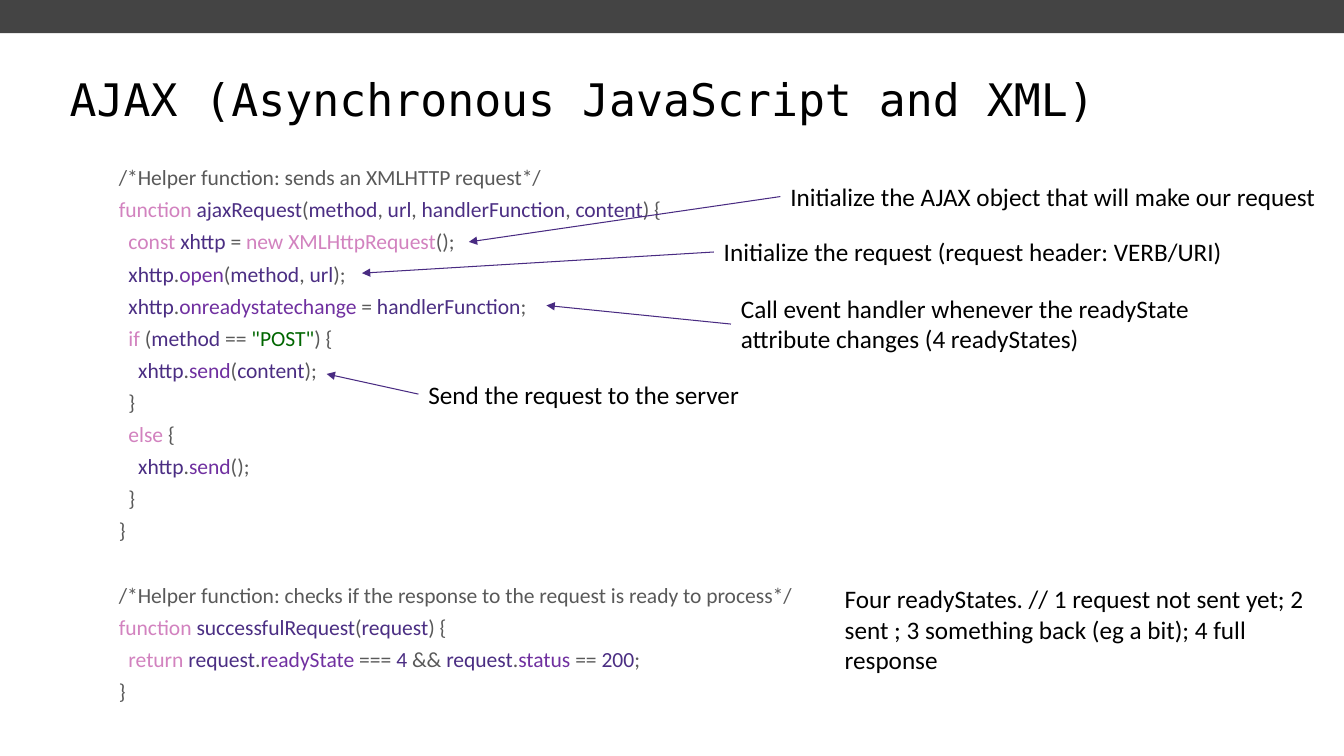
import itertools

import pptx
import pptx.dml.color
import pptx.enum.shapes
import pptx.enum.text
import pptx.oxml
import pptx.oxml.ns
import pptx.util

Inches = pptx.util.Inches
Pt = pptx.util.Pt

BLACK = "000000"
BAR = "444444"
PLAIN = "595959"
KEYWORD = "D282BF"
NAME = "4B2E83"
MEMBER = "7030A0"
STRING = "006600"
ARROW = "492B82"

KEYWORDS = {"function", "const", "new", "XMLHttpRequest", "if", "else", "return"}
MEMBERS = {"open", "onreadystatechange", "send", "readyState", "status"}

SEND_FUNCTION = """/*Helper function: sends an XMLHTTP request*/
function ajaxRequest(method, url, handlerFunction, content) {
  const xhttp = new XMLHttpRequest();
  xhttp.open(method, url);
  xhttp.onreadystatechange = handlerFunction;
  if (method == "POST") {
    xhttp.send(content);
  }
  else {
    xhttp.send();
  }
}"""

CHECK_FUNCTION = """/*Helper function: checks if the response to the request is ready to process*/
function successfulRequest(request) {
  return request.readyState === 4 && request.status == 200;
}"""

# text, (left, top, width, height), arrow tip or None
NOTES = [
    ("Initialize the request (request header: VERB/URI)",
     (7.08, 2.3, 5.2, 0.4), (3.59, 2.71)),
    ("Call event handler whenever the readyState attribute changes (4 readyStates)",
     (7.25, 2.86, 5.1, 0.71), (5.42, 3.03)),
    ("Send the request to the server",
     (4.15, 3.71, 5.1, 0.4), (3.24, 3.71)),
    ("Initialize the AJAX object that will make our request",
     (7.74, 1.75, 5.66, 0.4), (4.65, 2.4)),
    ("Four readyStates. // 1 request not sent yet; 2 sent ; "
     "3 something back (eg a bit); 4 full response",
     (8.28, 5.74, 5.1, 1.01), None),
]


def color(value):
    return pptx.dml.color.RGBColor.from_string(value)


def colored_tokens(line):
    """Split a line of code into (text, colour) pairs."""
    if line.startswith("/*"):
        return [(line, PLAIN)]
    tokens = []
    for is_word, characters in itertools.groupby(line, lambda c: c.isalnum() or c == '"'):
        token = "".join(characters)
        if not is_word:
            tokens.append((token, PLAIN))
        elif token.startswith('"'):
            tokens.append((token, STRING))
        elif token in KEYWORDS:
            tokens.append((token, KEYWORD))
        else:
            tokens.append((token, MEMBER if token in MEMBERS else NAME))
    return tokens


class SlideBuilder:
    body_font = "Calibri"
    title_font = "DejaVu Sans Mono"
    title_size = 32
    note_size = 18
    code_size = 15.4
    code_gap = 10
    function_gap = 33.1

    def __init__(self, presentation):
        self.slide = presentation.slides.add_slide(presentation.slide_layouts[5])

    def add_run(self, paragraph, text, size, font, value):
        run = paragraph.add_run()
        run.text = text
        run.font.size = Pt(size)
        run.font.name = font
        run.font.color.rgb = color(value)

    def add_bar(self, box, value):
        bar = self.slide.shapes.add_shape(
            pptx.enum.shapes.MSO_SHAPE.RECTANGLE, *map(Inches, box))
        bar.shadow.inherit = False
        bar.fill.solid()
        bar.fill.fore_color.rgb = color(value)
        bar.line.fill.background()

    def set_title(self, text, box):
        title = self.slide.shapes.title
        title.left, title.top, title.width, title.height = map(Inches, box)
        frame = title.text_frame
        frame.auto_size = pptx.enum.text.MSO_AUTO_SIZE.NONE
        frame.vertical_anchor = pptx.enum.text.MSO_ANCHOR.MIDDLE
        paragraph = frame.paragraphs[0]
        paragraph.alignment = pptx.enum.text.PP_ALIGN.LEFT
        paragraph.line_spacing = 0.9
        self.add_run(paragraph, text, self.title_size, self.title_font, BLACK)

    def add_text_box(self, box):
        shape = self.slide.shapes.add_textbox(*map(Inches, box))
        shape.text_frame.word_wrap = True
        return shape

    def add_code(self, functions, box):
        """Write functions as coloured code, with a wider gap between them."""
        frame = self.add_text_box(box).text_frame
        for function_index, function in enumerate(functions):
            for line_index, line in enumerate(function.splitlines()):
                if function_index == line_index == 0:
                    paragraph = frame.paragraphs[0]
                else:
                    paragraph = frame.add_paragraph()
                    gap = self.code_gap if line_index else self.function_gap
                    paragraph.space_before = Pt(gap)
                paragraph.line_spacing = 0.7
                for text, value in colored_tokens(line):
                    self.add_run(paragraph, text, self.code_size, self.body_font, value)

    def add_note(self, text, box):
        shape = self.add_text_box(box)
        shape.text_frame.auto_size = pptx.enum.text.MSO_AUTO_SIZE.SHAPE_TO_FIT_TEXT
        self.add_run(shape.text_frame.paragraphs[0], text,
                     self.note_size, self.body_font, BLACK)
        return shape

    def add_arrow(self, note, tip):
        """Draw an arrow from the left side of a note to a tip."""
        end_x, end_y = map(Inches, tip)
        connector = self.slide.shapes.add_connector(
            pptx.enum.shapes.MSO_CONNECTOR.STRAIGHT,
            note.left, note.top + note.height // 2, end_x, end_y)
        connector.begin_connect(note, 1)
        connector.line.color.rgb = color(ARROW)
        connector.line.width = Pt(0.75)
        line = connector.line._get_or_add_ln()
        pptx.oxml.ns.qn("a:tailEnd")
        line.append(pptx.oxml.parse_xml(
            f'<a:tailEnd {pptx.oxml.ns.nsdecls("a")} type="triangle"/>'))
        connector._element.spPr.append(pptx.oxml.parse_xml(
            f'<a:effectLst {pptx.oxml.ns.nsdecls("a")}/>'))


def main():
    presentation = pptx.Presentation()
    presentation.slide_width = Inches(13.33)
    presentation.slide_height = Inches(7.5)
    builder = SlideBuilder(presentation)
    builder.add_bar((0, 0, 13.33, 0.33), BAR)
    builder.set_title("AJAX (Asynchronous JavaScript and XML)", (0.59, 0.47, 12.33, 1.08))
    builder.add_code([SEND_FUNCTION, CHECK_FUNCTION], (1.08, 1.65, 7.36, 5.42))
    for text, box, tip in NOTES:
        note = builder.add_note(text, box)
        if tip:
            builder.add_arrow(note, tip)
    presentation.save("out.pptx")


if __name__ == "__main__":
    main()
